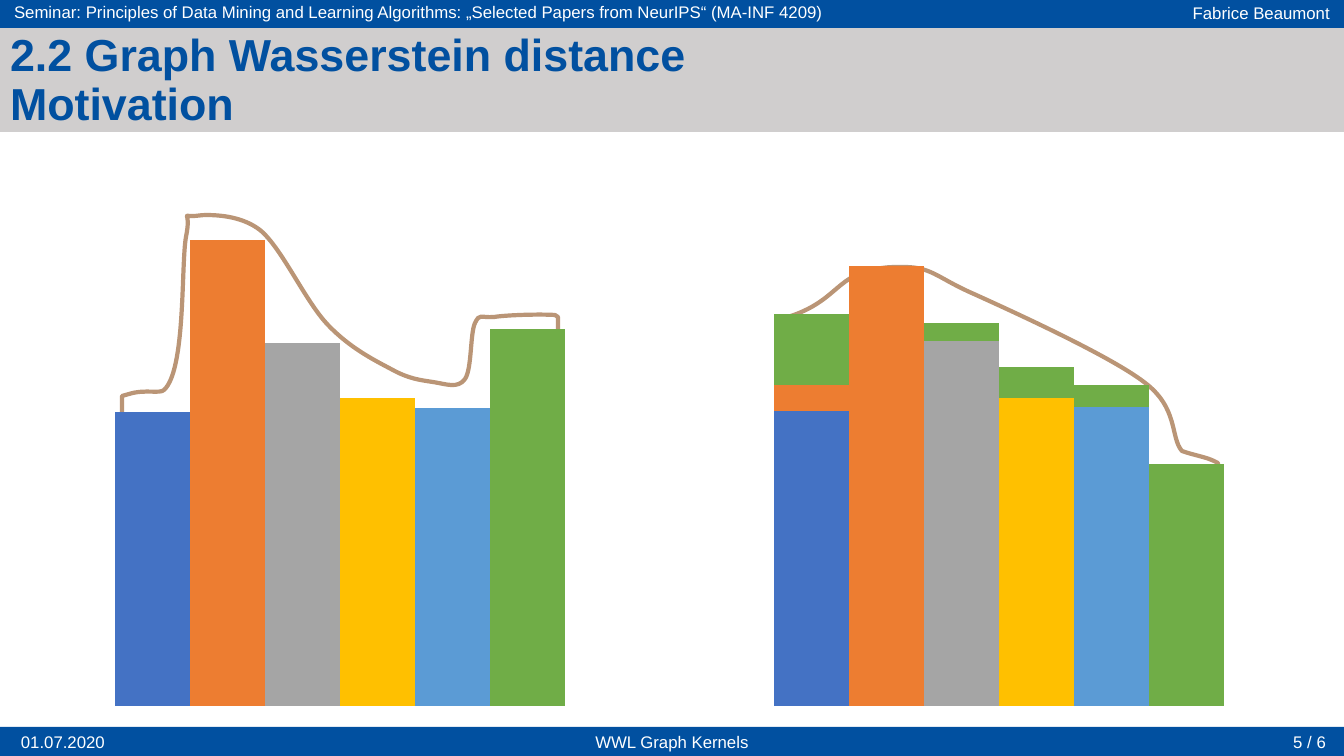
from pptx import Presentation
from pptx.chart.data import CategoryChartData
from pptx.dml.color import RGBColor
from pptx.enum.chart import XL_CHART_TYPE
from pptx.enum.shapes import MSO_SHAPE
from pptx.enum.text import MSO_ANCHOR, MSO_AUTO_SIZE, PP_ALIGN
from pptx.oxml import parse_xml
from pptx.oxml.ns import nsdecls, qn
from pptx.util import Pt

RECTANGLE = MSO_SHAPE.RECTANGLE
STACKED = XL_CHART_TYPE.COLUMN_STACKED
TOP, MIDDLE = MSO_ANCHOR.TOP, MSO_ANCHOR.MIDDLE
LEFT, CENTER, RIGHT = PP_ALIGN.LEFT, PP_ALIGN.CENTER, PP_ALIGN.RIGHT
NO_AUTOFIT = MSO_AUTO_SIZE.NONE

EMU_PER_PX = 9071.43
BLUE, GRAY, WHITE, BROWN = "0150A0", "D0CECE", "FFFFFF", "BA9576"
SERIES_COLORS = ["4472C4", "ED7D31", "A5A5A5", "FFC000", "5B9BD5", "70AD47"]
CHART_SIZE = (469, 598)
PLOT_BOX = (9, 26, 450, 559)

BANDS = [(0, 727, 1344, 29, BLUE), (0, -1, 1344, 29, BLUE), (0, 28, 1344, 104, GRAY)]
LABELS = [
    ("Fabrice Beaumont", (1050, -2, 290, 29), RIGHT),
    ("01.07.2020", (2, 727, 122, 29), CENTER),
    ("WWL Graph Kernels", (527, 727, 290, 29), CENTER),
    ("Seminar: Principles of Data Mining and Learning Algorithms: "
     "„Selected Papers from NeurIPS“ (MA-INF 4209)", (4, -3, 832, 29), LEFT),
    ("5 / 6", (1244, 727, 92, 29), RIGHT),
]

# Outlines: a pair is a straight step, six numbers are a cubic curve.
MOVED_OUTLINE = [
    (899, 267), (932, 266, 935, 277, 974, 294), (1016, 313, 1110, 356, 1144, 382),
    (1179, 408, 1170, 437, 1182, 451), (1193, 455, 1206, 457, 1214, 461),
    (1218, 463), (1218, 703), (781, 703), (781, 319), (788, 317),
    (839, 301, 836, 273, 882, 268), (888, 267, 894, 267, 899, 267),
]
START_OUTLINE = [
    (206, 215), (221, 215, 243, 217, 260, 230), (282, 248, 305, 301, 328, 325),
    (350, 348, 374, 360, 391, 369), (409, 379, 420, 380, 433, 382),
    (446, 384, 458, 389, 465, 379), (472, 369, 470, 334, 475, 323),
    (480, 313, 480, 318, 494, 317), (506, 315, 540, 314, 555, 315),
    (558, 317), (558, 703), (122, 703), (122, 396), (129, 394),
    (145, 389, 160, 394, 164, 390), (186, 370, 181, 265, 186, 237),
    (192, 208, 180, 217, 193, 216), (197, 216, 201, 215, 206, 215),
]
MOVED_VALUES = [
    (67, 0, 0, 0, 0, 0), (6, 100, 0, 0, 0, 0), (0, 0, 83, 0, 0, 0),
    (0, 0, 0, 70, 0, 0), (0, 0, 0, 0, 68, 0), (16, 0, 4, 7, 5, 55),
]
START_HEIGHTS = [63, 100, 78, 66, 64, 81]
START_VALUES = [[height if column == row else 0 for column in range(6)]
                for row, height in enumerate(START_HEIGHTS)]


def px(length):
    return round(length * EMU_PER_PX)


def color(hex_string):
    return RGBColor.from_string(hex_string)


def set_attributes(target, values):
    for name, value in values.items():
        setattr(target, name, value)


def add_band(slide, left, top, width, height, fill):
    band = slide.shapes.add_shape(RECTANGLE, px(left), px(top), px(width), px(height))
    band.shadow.inherit = False
    band.fill.solid()
    band.fill.fore_color.rgb = color(fill)
    band.line.fill.background()


def write_text(shape, text, box, frame_format, paragraph_format, font_format, font_color):
    set_attributes(shape, dict(zip(("left", "top", "width", "height"), map(px, box))))
    set_attributes(shape.text_frame, {"word_wrap": True, "auto_size": NO_AUTOFIT,
                                      "margin_left": px(10), "margin_right": px(10),
                                      "margin_top": px(5), "margin_bottom": px(5),
                                      **frame_format})
    paragraph = shape.text_frame.paragraphs[0]
    paragraph.text = text
    set_attributes(paragraph, paragraph_format)
    for run in paragraph.runs:
        set_attributes(run.font, {"name": "Arial", **font_format})
        run.font.color.rgb = color(font_color)


def add_label(slide, text, box, alignment):
    label = slide.shapes.add_textbox(0, 0, 0, 0)
    write_text(label, text, box, {"vertical_anchor": MIDDLE},
               {"alignment": alignment}, {"size": Pt(12)}, WHITE)


def bend_steps(outline, steps):
    """Turn the straight steps that have control points into cubic curves."""
    lines = list(outline._element.iter(qn("a:lnTo")))
    for line, step in zip(lines, steps[1:]):
        if len(step) == 6:
            points = "".join(f'<a:pt x="{px(x) - outline.left}" y="{px(y) - outline.top}"/>'
                             for x, y in zip(step[::2], step[1::2]))
            curve = parse_xml(f'<a:cubicBezTo {nsdecls("a")}>{points}</a:cubicBezTo>')
            line.getparent().replace(line, curve)


def add_outline(slide, steps):
    points = [(px(step[-2]), px(step[-1])) for step in steps]
    builder = slide.shapes.build_freeform(*points[0])
    builder.add_line_segments(points[1:], close=True)
    outline = builder.convert_to_shape()
    bend_steps(outline, steps)
    outline.shadow.inherit = False
    outline.fill.background()
    outline.line.color.rgb = color(BROWN)
    outline.line.width = Pt(3)


def fix_plot_area(chart):
    """Place the inner plot area at PLOT_BOX inside the chart frame."""
    fractions = [length / CHART_SIZE[index % 2] for index, length in enumerate(PLOT_BOX)]
    places = "".join(f'<c:{tag} val="{fraction:.4f}"/>' for tag, fraction in zip("xywh", fractions))
    layout = parse_xml(
        f'<c:layout {nsdecls("c")}><c:manualLayout><c:layoutTarget val="inner"/>'
        f'<c:xMode val="edge"/><c:yMode val="edge"/>{places}</c:manualLayout></c:layout>')
    plot_area = chart._chartSpace.chart.plotArea
    for old_layout in plot_area.findall(layout.tag):
        plot_area.remove(old_layout)
    plot_area.insert(0, layout)


def add_histogram(slide, left, top, rows, maximum):
    data = CategoryChartData()
    data.categories = ["1", "2", "3", "4", "5", "6"]
    for number, values in enumerate(rows, 1):
        data.add_series(f"Series {number}", values)
    width, height = CHART_SIZE
    chart = slide.shapes.add_chart(STACKED, px(left), px(top), px(width), px(height), data).chart
    set_attributes(chart, {"has_legend": False, "has_title": False})
    set_attributes(chart.font, {"name": "Calibri", "size": Pt(10)})
    chart.font.color.rgb = color("000000")
    set_attributes(chart.category_axis, {"visible": False})
    set_attributes(chart.value_axis, {"visible": False, "has_major_gridlines": False,
                                      "minimum_scale": 0, "maximum_scale": maximum})
    plot = chart.plots[0]
    set_attributes(plot, {"gap_width": 0, "overlap": 100, "vary_by_categories": False})
    for series, fill in zip(plot.series, SERIES_COLORS):
        series.format.fill.solid()
        series.format.fill.fore_color.rgb = color(fill)
    fix_plot_area(chart)


def main():
    presentation = Presentation()
    set_attributes(presentation, {"slide_width": px(1344), "slide_height": px(756)})
    slide = presentation.slides.add_slide(presentation.slide_layouts[5])
    for band in BANDS:
        add_band(slide, *band)
    add_outline(slide, MOVED_OUTLINE)
    add_histogram(slide, 765, 121, MOVED_VALUES, 127)
    add_outline(slide, START_OUTLINE)
    add_histogram(slide, 106, 121, START_VALUES, 120)
    title = slide.shapes.title
    write_text(title, "2.2 Graph Wasserstein distance\vMotivation", (0, 28, 1159, 53),
               {"vertical_anchor": TOP}, {"alignment": LEFT, "line_spacing": 0.9},
               {"size": Pt(32), "bold": True}, BLUE)
    slide.shapes._spTree.append(title._element)  # in front of the grey band
    for label in LABELS:
        add_label(slide, *label)
    presentation.save("out.pptx")


if __name__ == "__main__":
    main()
